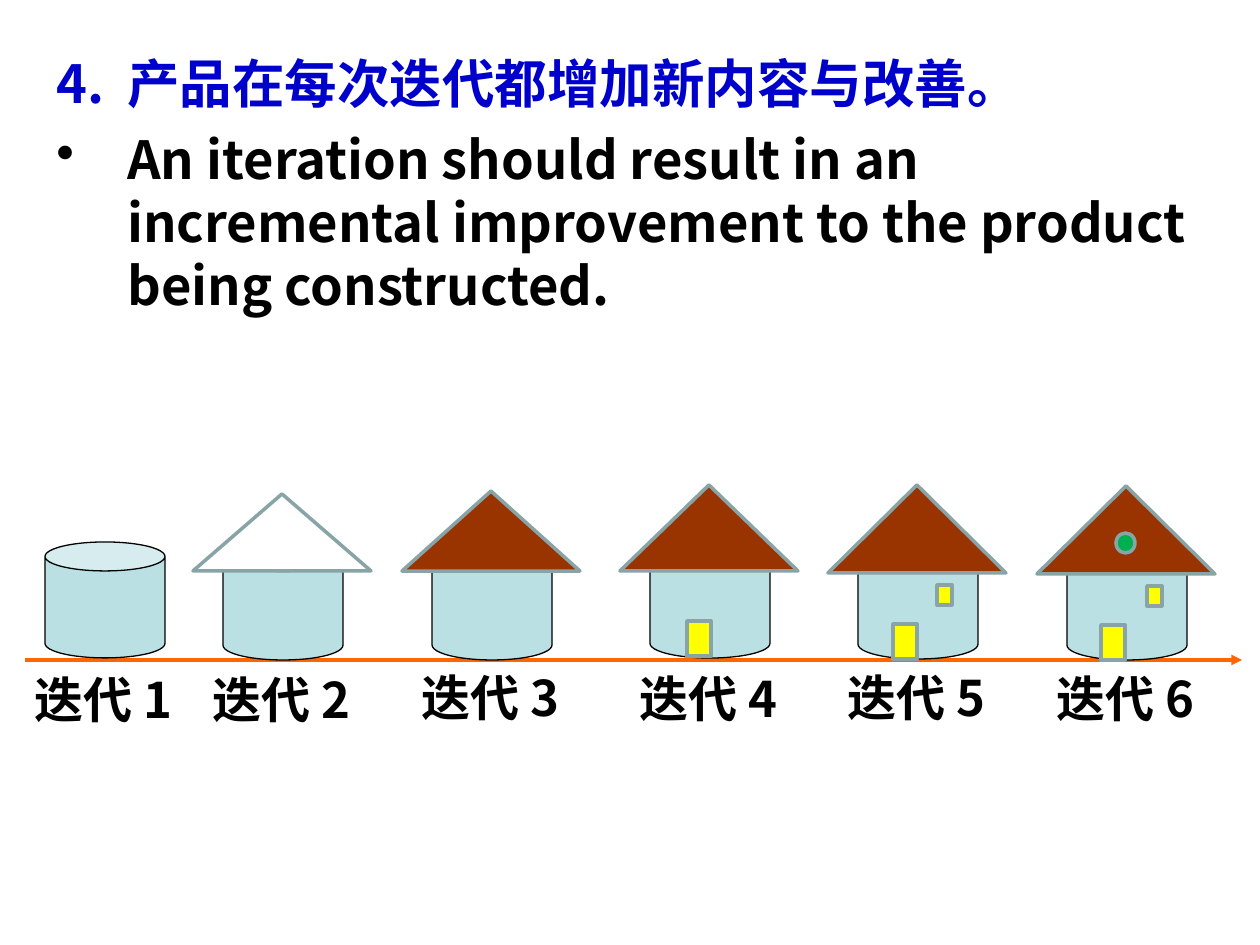
from dataclasses import dataclass

from lxml import etree
from pptx import Presentation
from pptx.dml.color import RGBColor
from pptx.enum.shapes import MSO_CONNECTOR, MSO_SHAPE
from pptx.enum.text import MSO_ANCHOR, MSO_AUTO_SIZE
from pptx.oxml.ns import qn
from pptx.util import Emu, Pt

PX_PER_INCH = 126
FONT = "Noto Sans CJK SC"
COLORS = {
    "heading": "0000CC",
    "text": "000000",
    "timeline": "FF6600",
    "wall": "BBE0E3",
    "bare_roof": "FFFFFF",
    "tiled_roof": "993300",
    "trim": "89A4A7",
    "opening": "FFFF00",
    "porthole": "00B050",
}


@dataclass
class House:
    left: int
    label_top: int
    wall_top: int
    wall_height: int
    roof_top: int = 0
    eaves: int = 0
    roof_color: str = "tiled_roof"
    door: tuple = ()  # left offset, top
    window: tuple = ()
    porthole: tuple = ()


HOUSES = [
    House(35, 670, 542, 116),
    House(213, 670, 542, 118, 494, 571, "bare_roof"),
    House(422, 668, 539, 121, 491, 571),
    House(640, 669, 541, 117, 485, 571, door=(47, 621)),
    House(848, 668, 541, 118, 485, 573, door=(45, 624), window=(89, 585)),
    House(1057, 669, 542, 118, 486, 574, door=(44, 625), window=(90, 586),
          porthole=(59, 533)),
]


def px(length):
    return Emu(round(length * 914400 / PX_PER_INCH))


def rgb(name):
    return RGBColor.from_string(COLORS[name])


def set_font(paragraph, size, color):
    font = paragraph.font
    font.name, font.size, font.bold = FONT, Pt(size), True
    font.color.rgb = rgb(color)
    east_asian = etree.SubElement(font._element, qn("a:ea"))
    east_asian.set("typeface", FONT)
    # Fixed line pitch of 1.2 times the type size
    paragraph.line_spacing = Pt(size * 1.2)


def set_bullet(paragraph, color, tag, **attributes):
    """Give the paragraph a hanging indent and a coloured bullet or number."""
    properties = paragraph._p.get_or_add_pPr()
    properties.set("marL", str(px(71)))
    properties.set("indent", str(-px(71)))
    bullet_color = etree.SubElement(properties, qn("a:buClr"))
    etree.SubElement(bullet_color, qn("a:srgbClr")).set("val", COLORS[color])
    etree.SubElement(properties, qn(tag), attributes)


def add_statement(slide):
    frame = slide.shapes.add_textbox(px(44), px(45), px(1171), px(287)).text_frame
    frame.word_wrap = True
    frame.vertical_anchor = MSO_ANCHOR.TOP

    heading = frame.paragraphs[0]
    heading.text = "产品在每次迭代都增加新内容与改善。"
    set_bullet(heading, "heading", "a:buAutoNum", type="arabicPeriod", startAt="4")
    set_font(heading, 30, "heading")

    explanation = frame.add_paragraph()
    explanation.text = ("An iteration should result in an incremental improvement "
                        "to the product being constructed.")
    set_bullet(explanation, "text", "a:buChar", char="•")
    set_font(explanation, 30, "text")
    explanation.space_before = Pt(7.5)


def add_timeline(slide):
    timeline = slide.shapes.add_connector(
        MSO_CONNECTOR.STRAIGHT, px(25), px(660), px(1242), px(660))
    timeline.line.color.rgb = rgb("timeline")
    timeline.line.width = Pt(2)
    etree.SubElement(timeline.line._get_or_add_ln(), qn("a:tailEnd")).set("type", "triangle")
    etree.SubElement(timeline._element.spPr, qn("a:effectLst"))


def add_part(group, preset, box, fill, line="trim", weight=2):
    part = group.shapes.add_shape(preset, *map(px, box))
    part.shadow.inherit = False
    part.fill.solid()
    part.fill.fore_color.rgb = rgb(fill)
    part.line.color.rgb = rgb(line)
    part.line.width = Pt(weight)
    return part


def add_label(group, house, number):
    frame = group.shapes.add_textbox(
        px(house.left), px(house.label_top), px(178), px(59)).text_frame
    frame.margin_left = frame.margin_right = frame.margin_top = frame.margin_bottom = 0
    frame.word_wrap = True
    frame.auto_size = MSO_AUTO_SIZE.SHAPE_TO_FIT_TEXT
    label = frame.paragraphs[0]
    label.text = f"迭代 {number}"
    set_font(label, 28, "text")


def add_house(slide, house, number):
    group = slide.shapes.add_group_shape()
    add_label(group, house, number)
    wall = add_part(group, MSO_SHAPE.CAN,
                    (house.left + 10, house.wall_top, 120, house.wall_height),
                    "wall", "text", 0.75)
    wall.adjustments[0] = 0.25
    if house.roof_top:
        add_part(group, MSO_SHAPE.ISOSCELES_TRIANGLE,
                 (house.left - 20, house.roof_top, 178, house.eaves - house.roof_top),
                 house.roof_color)
    details = [
        (house.window, MSO_SHAPE.RECTANGLE, (15, 20), "opening"),
        (house.door, MSO_SHAPE.RECTANGLE, (24, 35), "opening"),
        (house.porthole, MSO_SHAPE.OVAL, (19, 20), "porthole"),
    ]
    for place, preset, size, color in details:
        if place:
            offset, top = place
            add_part(group, preset, (house.left + offset, top, *size), color)


def main():
    presentation = Presentation()
    presentation.slide_width, presentation.slide_height = px(1260), px(945)
    slide = presentation.slides.add_slide(presentation.slide_layouts[6])
    add_statement(slide)
    add_timeline(slide)
    for number, house in enumerate(HOUSES, start=1):
        add_house(slide, house, number)
    presentation.save("out.pptx")


if __name__ == "__main__":
    main()
